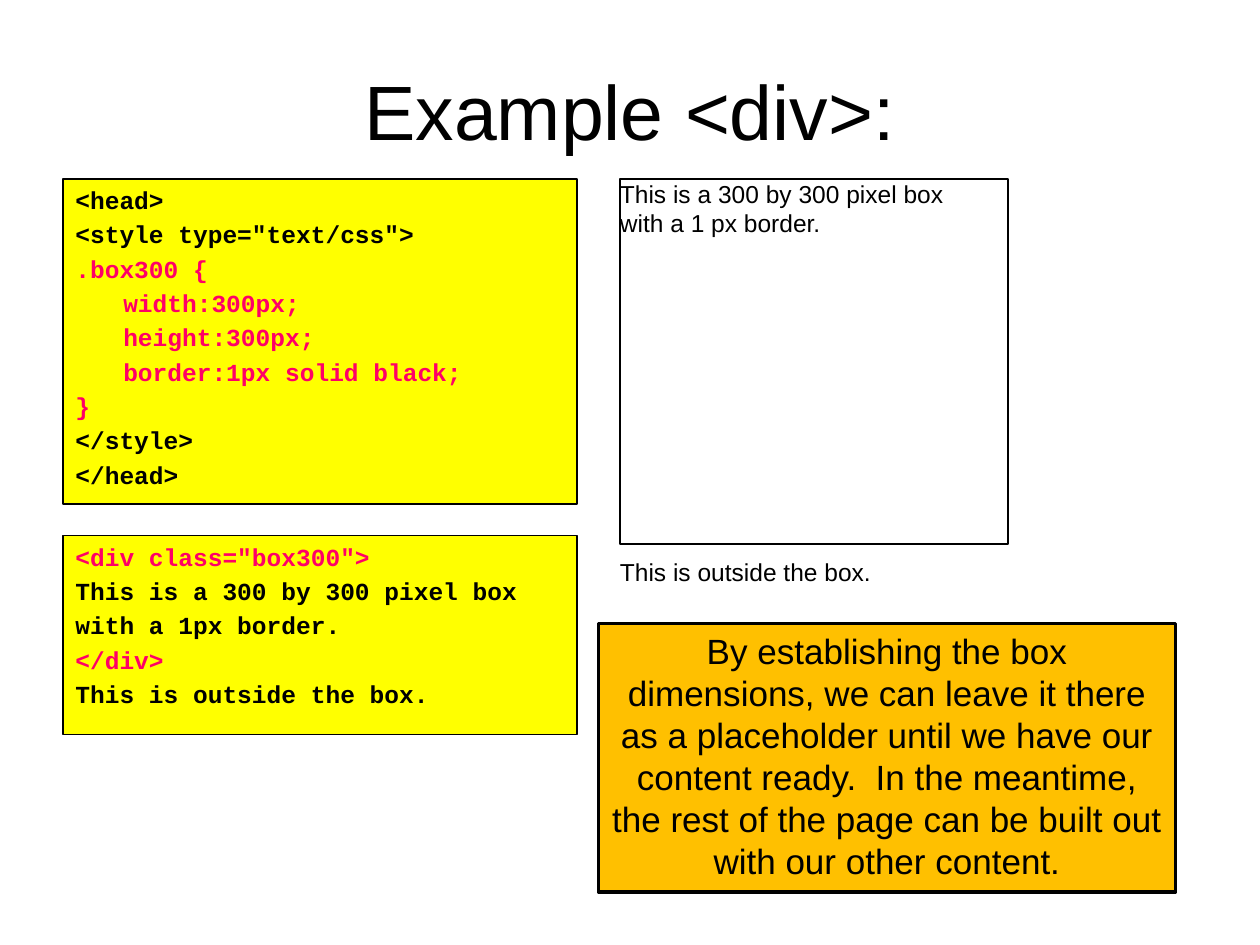
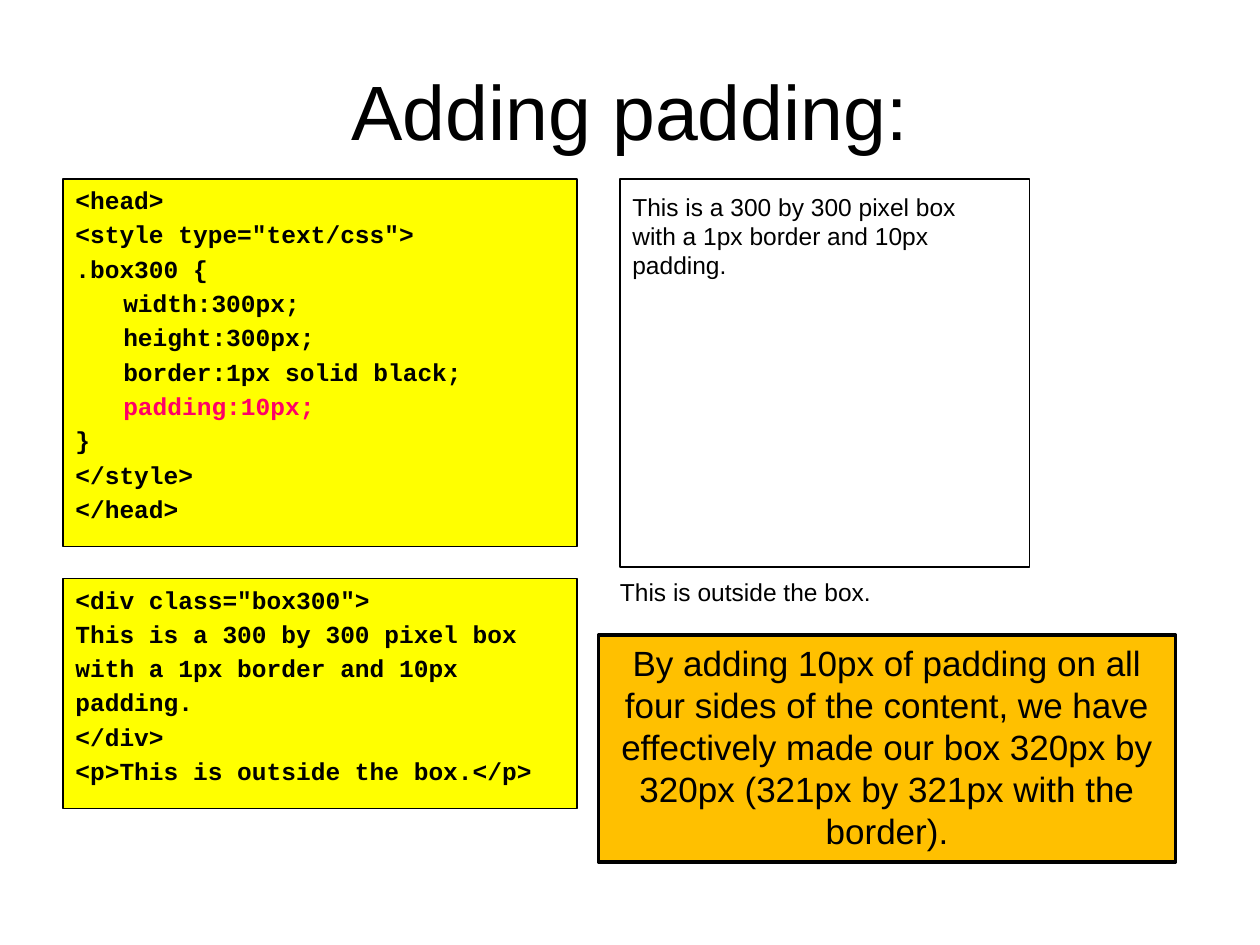
from copy import deepcopy

from lxml import etree
from pptx import Presentation
from pptx import util as u
from pptx.dml.color import RGBColor
from pptx.enum import shapes, text
from pptx.oxml import ns

BLACK, PINK, YELLOW, ORANGE = "000000", "FF0066", "FFFF00", "FFC000"
BODY_FONT, CODE_FONT = "Arial", "Courier New"
LEFT, TOP, CODE_WIDTH, CODE_GAP = 0.5, 1.42, 4.08, 0.25
DEMO_LEFT, NOTE_LEFT, NOTE_WIDTH = 4.92, 4.75, 4.58
HANG = 0.38


def color(hex_string):
    return RGBColor.from_string(hex_string)


def inches(values):
    return [u.Inches(value) for value in values]


def style(paragraph, size, font=BODY_FONT, ink=BLACK, bold=False):
    for run in paragraph.runs:
        run.font.size = u.Pt(size)
        run.font.name = font
        run.font.bold = bold
        run.font.color.rgb = color(ink)
    for line_break in paragraph._p.findall(ns.qn("a:br")):
        line_break.append(deepcopy(paragraph.runs[0]._r.rPr))


def space_before(paragraph, percent):
    properties = paragraph._p.get_or_add_pPr()
    spacing = etree.SubElement(properties, ns.qn("a:spcBef"))
    etree.SubElement(spacing, ns.qn("a:spcPct"), val=str(percent * 1000))


def set_insets(frame, insets):
    (frame.margin_left, frame.margin_top,
     frame.margin_right, frame.margin_bottom) = inches(insets)


def add_title(slide, wording):
    title = slide.shapes.title
    title.left, title.top, title.width, title.height = inches((0.5, 0.33, 9, 1.08))
    frame = title.text_frame
    frame.text = wording
    frame.vertical_anchor = text.MSO_ANCHOR.MIDDLE
    frame.paragraphs[0].alignment = text.PP_ALIGN.CENTER
    style(frame.paragraphs[0], 44)


def add_panel(slide, at, fill, line_width):
    panel = slide.shapes.add_shape(shapes.MSO_SHAPE.RECTANGLE, *inches(at))
    panel.shadow.inherit = False
    if fill:
        panel.fill.solid()
        panel.fill.fore_color.rgb = color(fill)
    else:
        panel.fill.background()
    panel.line.color.rgb = color(BLACK)
    panel.line.width = u.Pt(line_width)
    frame = panel.text_frame
    frame.word_wrap = True
    frame.vertical_anchor = text.MSO_ANCHOR.TOP
    return frame


def add_code(slide, top, height, lines, highlighted):
    frame = add_panel(slide, (LEFT, top, CODE_WIDTH, height), YELLOW, 0.75)
    frame.text = "\n".join(lines)
    for line, paragraph in zip(lines, frame.paragraphs):
        paragraph.alignment = text.PP_ALIGN.LEFT
        properties = paragraph._p.get_or_add_pPr()
        properties.set("marL", str(u.Inches(HANG)))
        properties.set("indent", str(-u.Inches(HANG)))
        space_before(paragraph, 20)
        ink = PINK if line in highlighted else BLACK
        style(paragraph, 14, CODE_FONT, ink, True)


def write_demo(frame, wording, insets):
    set_insets(frame, insets)
    paragraph = frame.paragraphs[0]
    paragraph.text = wording
    paragraph.alignment = text.PP_ALIGN.LEFT
    space_before(paragraph, 50)
    style(paragraph, 14)


def add_demo(slide, width, height, padding, wording, outside_top):
    box = add_panel(slide, (DEMO_LEFT, TOP, width, height), None, 1)
    write_demo(box, wording, (padding, padding, 0.1, 0.05))
    outside = slide.shapes.add_textbox(
        *inches((DEMO_LEFT, outside_top, 3.75, 0.28))).text_frame
    outside.word_wrap = True
    outside.auto_size = text.MSO_AUTO_SIZE.SHAPE_TO_FIT_TEXT
    write_demo(outside, "This is outside the box.", (0, 0, 0.1, 0.05))


def add_note(slide, top, height, wording):
    frame = add_panel(slide, (NOTE_LEFT, top, NOTE_WIDTH, height), ORANGE, 2)
    frame.auto_size = text.MSO_AUTO_SIZE.SHAPE_TO_FIT_TEXT
    frame.text = wording
    frame.paragraphs[0].alignment = text.PP_ALIGN.CENTER
    style(frame.paragraphs[0], 20)


def add_example(deck, title, note, css, html, demo):
    slide = deck.slides.add_slide(deck.slide_layouts[5])
    add_title(slide, title)
    add_note(slide, **note)
    add_code(slide, TOP, **css)
    add_code(slide, TOP + css["height"] + CODE_GAP, **html)
    add_demo(slide, **demo)


def style_sheet(rules):
    return ["<head>", '<style type="text/css">', *rules, "</style>", "</head>"]


def main():
    deck = Presentation()
    deck.slide_width, deck.slide_height = inches((10, 7.5))
    opening = '<div class="box300">'
    sizes = ["\twidth:300px;", "\theight:300px;", "\tborder:1px solid black;"]
    padding = "\tpadding:10px;"
    plain_rules = [".box300 {", *sizes, "}"]
    padded_rules = [".box300 {", *sizes, padding, "}"]

    add_example(
        deck, "Example <div>:",
        note=dict(top=4.95, height=2.13, wording=(
            "By establishing the box dimensions, we can leave it there as a "
            "placeholder until we have our content ready.  In the meantime, "
            "the rest of the page can be built out with our other content.")),
        css=dict(height=2.58, lines=style_sheet(plain_rules),
                 highlighted=plain_rules),
        html=dict(height=1.58, highlighted=[opening, "</div>"], lines=[
            opening, "This is a 300 by 300 pixel box", "with a 1px border.",
            "</div>", "This is outside the box."]),
        demo=dict(width=3.08, height=2.9, padding=0, outside_top=4.42, wording=(
            "This is a 300 by 300 pixel box\nwith a 1 px border.")))

    add_example(
        deck, "Adding padding:",
        note=dict(top=5.04, height=1.8, wording=(
            "By adding 10px of padding on all four sides of the content, we "
            "have effectively made our box 320px by 320px (321px by 321px "
            "with the border).")),
        css=dict(height=2.92, lines=style_sheet(padded_rules),
                 highlighted=[padding]),
        html=dict(height=1.83, highlighted=[], lines=[
            opening, "This is a 300 by 300 pixel box",
            "with a 1px border and 10px", "padding.", "</div>",
            "<p>This is outside the box.</p>"]),
        demo=dict(width=3.25, height=3.08, padding=0.1, outside_top=4.58, wording=(
            "This is a 300 by 300 pixel box\nwith a 1px border and 10px\npadding.")))

    deck.save("out.pptx")


if __name__ == "__main__":
    main()
